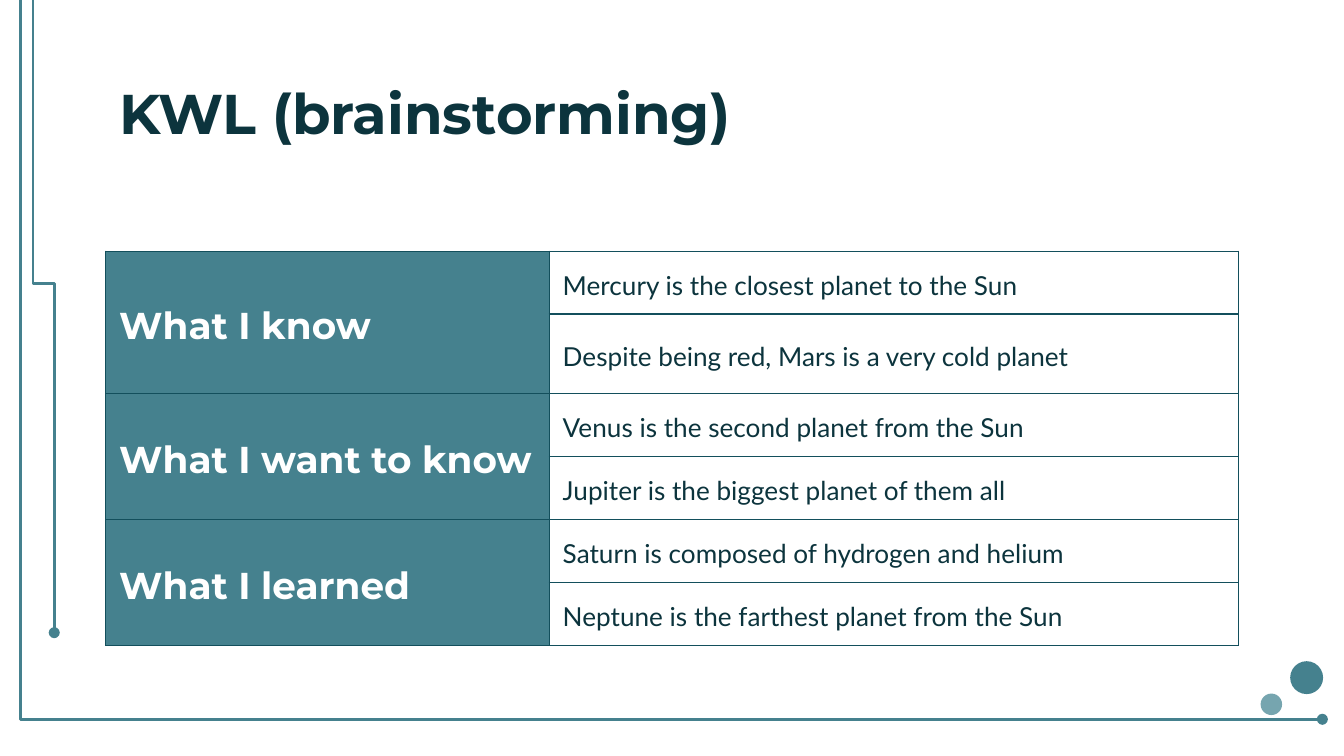
from dataclasses import dataclass

import pptx
import pptx.dml.color
import pptx.enum.shapes
import pptx.enum.text
import pptx.oxml
import pptx.oxml.ns
import pptx.util

WIDTH = 10
HEIGHT = WIDTH * 9 / 16
COLORS = {
    "dark": "0C343D",
    "border": "134F5C",
    "teal": "45818E",
    "light": "76A5AF",
    "white": "FFFFFF",
}


@dataclass
class Dot:
    x: float
    y: float
    size: float
    color: str


@dataclass
class Trace:
    begin: tuple[float, float]
    end: tuple[float, float]
    bend: int
    turn: int


@dataclass
class Style:
    font: str
    size: int
    color: str
    bold: bool


@dataclass
class Topic:
    heading: str
    facts: tuple[str, str]


TITLE = Style("Montserrat", 30, "dark", True)
HEADING = Style("Montserrat", 20, "white", True)
FACT = Style("Lato", 14, "dark", False)

DOTS = [Dot(93.8, 91.75, 1.6, "light"), Dot(96, 87.47, 2.45, "teal")]
TRACES = [
    Trace((0.73, -11.57), (98.4, 95.15), 800, 0),
    Trace((29.2, 36.15), (-22.7, 38.95), 50000, 270),
]
TOPICS = [
    Topic("What I know", ("Mercury is the closest planet to the Sun",
                          "Despite being red, Mars is a very cold planet")),
    Topic("What I want to know", ("Venus is the second planet from the Sun",
                                  "Jupiter is the biggest planet of them all")),
    Topic("What I learned", ("Saturn is composed of hydrogen and helium",
                             "Neptune is the farthest planet from the Sun")),
]
LEFT, TABLE_TOP = 7.87, 33.22
COLUMNS = [33, 51.3]
ROWS = [8.3, 10.5, 8.3, 8.3, 8.3, 8.3]


def across(percent: float) -> int:
    return pptx.util.Inches(WIDTH * percent / 100)


def down(percent: float) -> int:
    return pptx.util.Inches(HEIGHT * percent / 100)


def rgb(name: str) -> pptx.dml.color.RGBColor:
    return pptx.dml.color.RGBColor.from_string(COLORS[name])


def write(tf, text: str, style: Style, spacing: float = 1.0) -> None:
    p = tf.paragraphs[0]
    p.alignment = pptx.enum.text.PP_ALIGN.LEFT
    p.line_spacing = spacing
    r = p.add_run()
    r.text = text
    r.font.name = style.font
    r.font.size = pptx.util.Pt(style.size)
    r.font.bold = style.bold
    r.font.color.rgb = rgb(style.color)


def draw_dot(s, dot: Dot) -> None:
    sp = s.shapes.add_shape(pptx.enum.shapes.MSO_SHAPE.OVAL, across(dot.x), down(dot.y),
                            across(dot.size), across(dot.size))
    sp.shadow.inherit = False
    sp.fill.solid()
    sp.fill.fore_color.rgb = rgb(dot.color)
    sp.line.fill.background()


def draw_trace(s, trace: Trace) -> None:
    (x1, y1), (x2, y2) = trace.begin, trace.end
    sp = s.shapes.add_connector(pptx.enum.shapes.MSO_CONNECTOR.ELBOW,
                                across(x1), down(y1), across(x2), down(y2))
    sp.line.color.rgb = rgb("teal")
    sp.line.width = pptx.util.Pt(1.5)
    qn = pptx.oxml.ns.qn
    props = sp._element.spPr
    if trace.turn:
        props.find(qn("a:xfrm")).set("rot", str(trace.turn * 60000))
    guides = props.find(qn("a:prstGeom")).get_or_add_avLst()
    guides.append(guides.makeelement(qn("a:gd"), {"name": "adj1", "fmla": f"val {trace.bend}"}))
    ln = props.find(qn("a:ln"))
    ln.append(ln.makeelement(qn("a:tailEnd"), {"type": "oval"}))
    props.append(props.makeelement(qn("a:effectLst"), {}))


def format_cell(cell, fill: str | None) -> None:
    margin = pptx.util.Inches(0.1)
    cell.margin_left = cell.margin_right = cell.margin_top = cell.margin_bottom = margin
    cell.vertical_anchor = pptx.enum.text.MSO_ANCHOR.MIDDLE
    if fill:
        cell.fill.solid()
        cell.fill.fore_color.rgb = rgb(fill)
    else:
        cell.fill.background()
    props = cell._tc.get_or_add_tcPr()
    for i, side in enumerate("LRTB"):
        props.insert(i, pptx.oxml.parse_xml(
            f'<a:ln{side} {pptx.oxml.ns.nsdecls("a")} w="{pptx.util.Pt(0.75)}"><a:solidFill>'
            f'<a:srgbClr val="{COLORS["border"]}"/></a:solidFill></a:ln{side}>'))


def draw_table(s, topics: list[Topic]) -> None:
    table = s.shapes.add_table(len(ROWS), len(COLUMNS), across(LEFT), down(TABLE_TOP),
                               across(sum(COLUMNS)), down(sum(ROWS))).table
    table.first_row = table.horz_banding = False
    for column, width in zip(table.columns, COLUMNS):
        column.width = across(width)
    for row, height in zip(table.rows, ROWS):
        row.height = down(height)
        format_cell(row.cells[0], "teal")
        format_cell(row.cells[1], None)
    for i, topic in enumerate(topics):
        top = 2 * i
        table.cell(top, 0).merge(table.cell(top + 1, 0))
        write(table.cell(top, 0).text_frame, topic.heading, HEADING, 1.15)
        for j, fact in enumerate(topic.facts):
            write(table.cell(top + j, 1).text_frame, fact, FACT, 1.15)


def draw_title(s, text: str) -> None:
    sp = s.shapes.title
    sp.left, sp.top = across(LEFT), down(8.65)
    sp.width, sp.height = across(sum(COLUMNS)), down(11.2)
    tf = sp.text_frame
    tf.word_wrap = True
    tf.auto_size = pptx.enum.text.MSO_AUTO_SIZE.NONE
    tf.vertical_anchor = pptx.enum.text.MSO_ANCHOR.TOP
    tf.margin_left = tf.margin_right = pptx.util.Inches(0.1)
    tf.margin_top = tf.margin_bottom = pptx.util.Inches(0.1)
    write(tf, text, TITLE)


def main() -> None:
    prs = pptx.Presentation()
    prs.slide_width, prs.slide_height = across(100), down(100)
    s = prs.slides.add_slide(prs.slide_layouts[5])
    s.background.fill.solid()
    s.background.fill.fore_color.rgb = rgb("white")
    for dot in DOTS:
        draw_dot(s, dot)
    for trace in TRACES:
        draw_trace(s, trace)
    draw_title(s, "KWL (brainstorming)")
    draw_table(s, TOPICS)
    prs.save("out.pptx")


if __name__ == "__main__":
    main()
